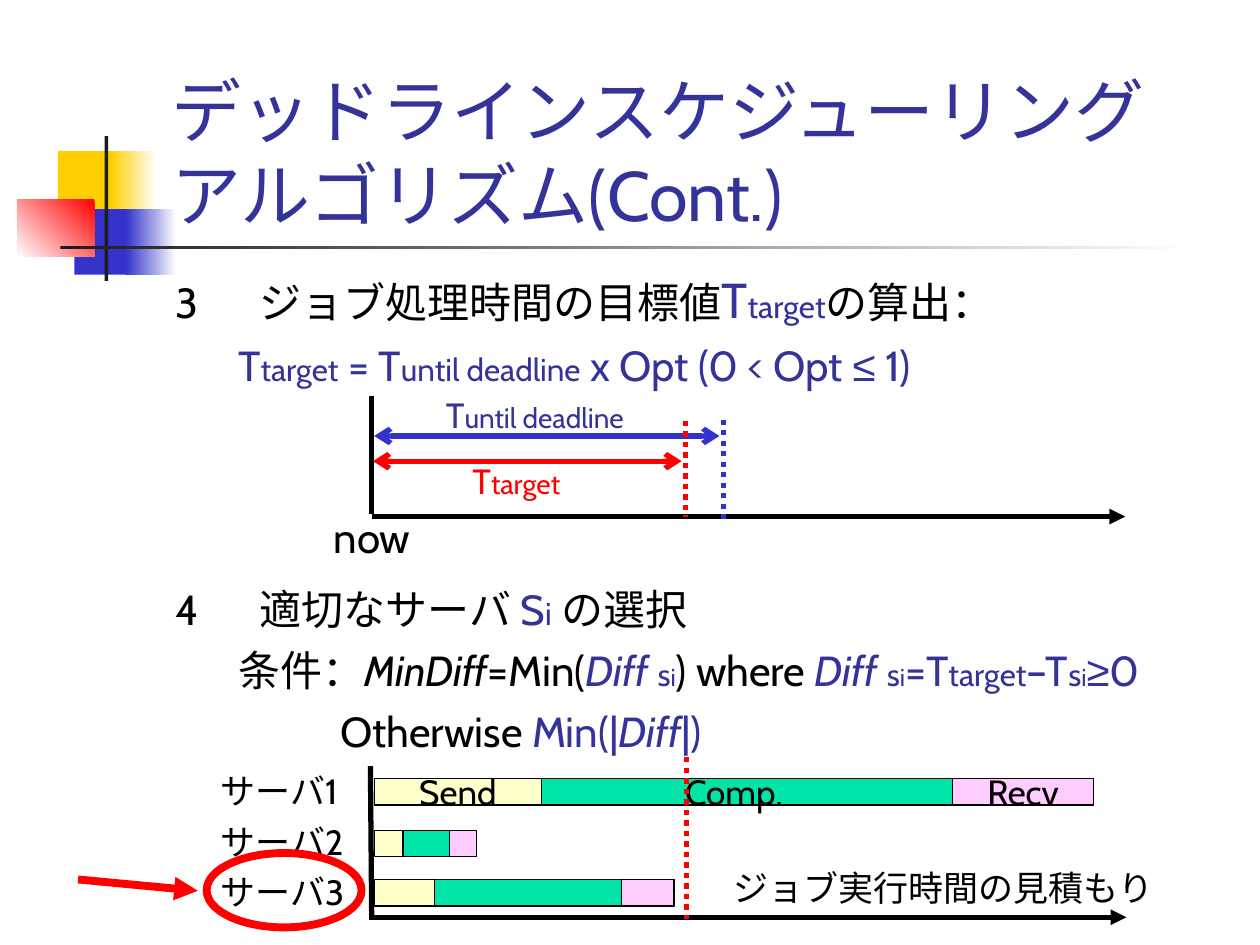
"""Builds a slide on a deadline scheduling algorithm."""
from lxml import etree
from pptx import Presentation
from pptx.dml.color import RGBColor
from pptx.enum.dml import MSO_LINE
from pptx.enum.shapes import MSO_CONNECTOR, MSO_SHAPE
from pptx.enum.text import MSO_ANCHOR, MSO_AUTO_SIZE, PP_ALIGN
from pptx.oxml.ns import qn
from pptx.util import Inches, Pt

RECT, OVAL = MSO_SHAPE.RECTANGLE, MSO_SHAPE.OVAL
STRAIGHT, DOTS = MSO_CONNECTOR.STRAIGHT, MSO_LINE.ROUND_DOT
LEFT, CENTER = PP_ALIGN.LEFT, PP_ALIGN.CENTER
TOP, MIDDLE, BOTTOM = MSO_ANCHOR.TOP, MSO_ANCHOR.MIDDLE, MSO_ANCHOR.BOTTOM
FIXED, GROW = MSO_AUTO_SIZE.NONE, MSO_AUTO_SIZE.SHAPE_TO_FIT_TEXT

COLORS = {
    "black": "000000", "white": "FFFFFF", "navy": "333399", "blue": "3333CC",
    "red": "FF0000", "gold": "FFCF01", "dark": "1C1C1C",
    "cream": "FFFFCC", "green": "00E4A8", "pink": "FFCCFF",
}
BIG, MID, SUB, TINY = 28, 24, 18, 14
NAVY = {"color": "navy"}
SMALL = {"color": "navy", "size": SUB}
LEAST = {"color": "navy", "size": TINY}
SLANT = {"color": "navy", "italic": True}
SIGN = {"color": "navy", "font": "Arial"}

STEP = {"margin": 0.67, "indent": -0.67}
NOTE = {"margin": 0.5, "level": 1}
BODY = [
    (STEP, [("3\tジョブ処理時間の目標値", {}), ("T", {"color": "navy", "size": BIG}),
            ("target", SMALL), ("の算出：", {})]),
    (NOTE, [("T", NAVY), ("target", SMALL), (" = T", NAVY),
            ("until deadline", SMALL), (" x Opt (0 < Opt ", NAVY),
            ("≤", SIGN), (" 1)", NAVY)]),
    ({**STEP, "before": 111},
     [("4\t適切なサーバ ", {}), ("S", NAVY), ("i", SMALL), (" の選択", {})]),
    (NOTE, [("条件：", {}), ("MinDiff", {"italic": True}), ("=Min(", {}),
            ("Diff ", SLANT), ("s", SMALL), ("i", LEAST), (") where ", {}),
            ("Diff ", SLANT), ("s", SMALL), ("i", LEAST), ("=T", NAVY),
            ("target", SMALL), ("–T", NAVY), ("s", SMALL), ("i", LEAST),
            ("≥", SIGN), ("0", NAVY)]),
    ({"margin": 1.31, "level": 1},
     [("Otherwise", {}), (" Min(|", NAVY), ("Diff", SLANT), ("|)", NAVY)]),
]


def tint(name):
    return RGBColor.from_string(COLORS[name])


def write(para, text, size=MID, color="black", italic=False, font="Cabin"):
    run = para.add_run()
    run.text = text
    run.font.size = Pt(size)
    run.font.name = font
    run.font.italic = italic
    run.font.color.rgb = tint(color)


def place(shape, left, top, width, height):
    shape.left, shape.top = Inches(left), Inches(top)
    shape.width, shape.height = Inches(width), Inches(height)


def block(slide, box, fill=None, edge=None, weight=0.75, kind=RECT):
    shape = slide.shapes.add_shape(kind, *map(Inches, box))
    shape.shadow.inherit = False
    if fill:
        shape.fill.solid()
        shape.fill.fore_color.rgb = tint(fill)
    else:
        shape.fill.background()
    if edge:
        shape.line.color.rgb = tint(edge)
        shape.line.width = Pt(weight)
    else:
        shape.line.fill.background()
    return shape


def fade(slide, box, color, angle=0):
    fill = block(slide, box).fill
    fill.gradient()
    fill.gradient_angle = angle
    for stop, name in zip(fill.gradient_stops, (color, "white")):
        stop.color.rgb = tint(name)


def line(slide, start, end, color="black", weight=3, dash=None, head=None, tail=None):
    link = slide.shapes.add_connector(STRAIGHT, *map(Inches, start + end))
    link.line.color.rgb = tint(color)
    link.line.width = Pt(weight)
    if dash:
        link.line.dash_style = dash
    edge = link.line._get_or_add_ln()
    for tag, tip in (("a:headEnd", head), ("a:tailEnd", tail)):
        if tip:
            etree.SubElement(edge, qn(tag), type=tip)
    etree.SubElement(link.element.spPr, qn("a:effectLst"))


def label(slide, box, text, sub="", size=20, color="black"):
    frame = slide.shapes.add_textbox(*map(Inches, box)).text_frame
    frame.word_wrap = False
    frame.auto_size = GROW
    para = frame.paragraphs[0]
    write(para, text, size=size, color=color)
    if sub:
        write(para, sub, size=16, color=color)


def bar(slide, box, fill, text=""):
    shape = block(slide, box, fill, "black")
    if text:
        frame = shape.text_frame
        frame.word_wrap = False
        frame.vertical_anchor = MIDDLE
        para = frame.paragraphs[0]
        para.alignment = CENTER
        write(para, text, size=20)


def motif(slide):
    block(slide, (0.46, 1.2, 0.48, 0.52), "gold")
    fade(slide, (0.88, 1.2, 0.36, 0.52), "gold")
    block(slide, (0.59, 1.66, 0.46, 0.52), "blue")
    fade(slide, (1, 1.66, 0.4, 0.52), "blue")
    fade(slide, (0.14, 1.58, 0.61, 0.46), "red", 225)
    block(slide, (0.83, 1.08, 0.03, 1.15), "dark")
    fade(slide, (0.48, 1.95, 9, 0.03), "dark")


def head(slide):
    title = slide.shapes.title
    title.element.getparent().append(title.element)
    place(title, 1.26, 0.67, 8.52, 1.25)
    frame = title.text_frame
    frame.auto_size = FIXED
    frame.vertical_anchor = BOTTOM
    para = frame.paragraphs[0]
    para.alignment = LEFT
    write(para, "デッドラインスケジューリング", size=40, color="navy")
    para.add_line_break()
    write(para, "アルゴリズム(Cont.)", size=40, color="navy")


def steps(slide):
    body = slide.placeholders[1]
    body.element.getparent().append(body.element)
    place(body, 1.29, 2.09, 8.5, 4.5)
    frame = body.text_frame
    frame.auto_size = FIXED
    frame.vertical_anchor = TOP
    for i, (form, runs) in enumerate(BODY):
        para = frame.add_paragraph() if i else frame.paragraphs[0]
        para.level = form.get("level", 0)
        para.space_before = Pt(form.get("before", 6))
        props = para._p.get_or_add_pPr()
        props.set("marL", str(Inches(form["margin"])))
        props.set("indent", str(Inches(form.get("indent", 0))))
        etree.SubElement(props, qn("a:buNone"))
        for text, style in runs:
            write(para, text, **style)


def target(slide):
    line(slide, (2.95, 3.14), (2.95, 4.08))
    line(slide, (2.95, 4.1), (8.93, 4.1), tail="triangle")
    label(slide, (2.55, 4.01, 0.87, 0.5), "now", size=MID)
    line(slide, (5.74, 3.33), (5.74, 4.14), "blue", dash=DOTS)
    line(slide, (2.97, 3.46), (5.71, 3.46), "blue", head="arrow", tail="arrow")
    label(slide, (3.44, 3.07, 1.8, 0.44), "T", "until deadline", color="navy")
    line(slide, (5.44, 3.34), (5.44, 4.1), "red", dash=DOTS)
    line(slide, (2.96, 3.66), (5.41, 3.66), "red", head="arrow", tail="arrow")
    label(slide, (3.65, 3.6, 0.99, 0.44), "T", "target", color="red")


def servers(slide):
    left, high = 2.97, 0.21
    rows = [(6.18, 1.33, 5.71, 1.12, ("Comp.", "Send", "Recv")),
            (6.59, 0.23, 0.81, 0.21, ("", "", "")),
            (6.98, 0.48, 2.38, 0.42, ("", "", ""))]
    for i, (top, send, total, recv, names) in enumerate(rows, 1):
        label(slide, (1.65, 5.66 + 0.4 * i, 1.25, 0.44), f"サーバ{i}")
        bar(slide, (left, top, total, high), "green", names[0])
        bar(slide, (left, top, send, high), "cream", names[1])
        bar(slide, (left + total - recv, top, recv, high), "pink", names[2])
    label(slide, (5.72, 6.83, 3.54, 0.44), "ジョブ実行時間の見積もり")
    line(slide, (2.94, 6.08), (2.95, 7.3))
    line(slide, (2.96, 7.28), (8.94, 7.28), tail="triangle")
    line(slide, (5.45, 6.01), (5.45, 7.29), "red", dash=DOTS)
    block(slide, (1.64, 6.77, 1.23, 0.59), edge="red", weight=4.5, kind=OVAL)
    line(slide, (0.62, 6.98), (1.57, 7.07), "red", 4.5, tail="triangle")


def main():
    deck = Presentation()
    deck.slide_width, deck.slide_height = Inches(10), Inches(7.5)
    slide = deck.slides.add_slide(deck.slide_layouts[1])
    for part in (motif, head, steps, target, servers):
        part(slide)
    deck.save("out.pptx")


if __name__ == "__main__":
    main()
